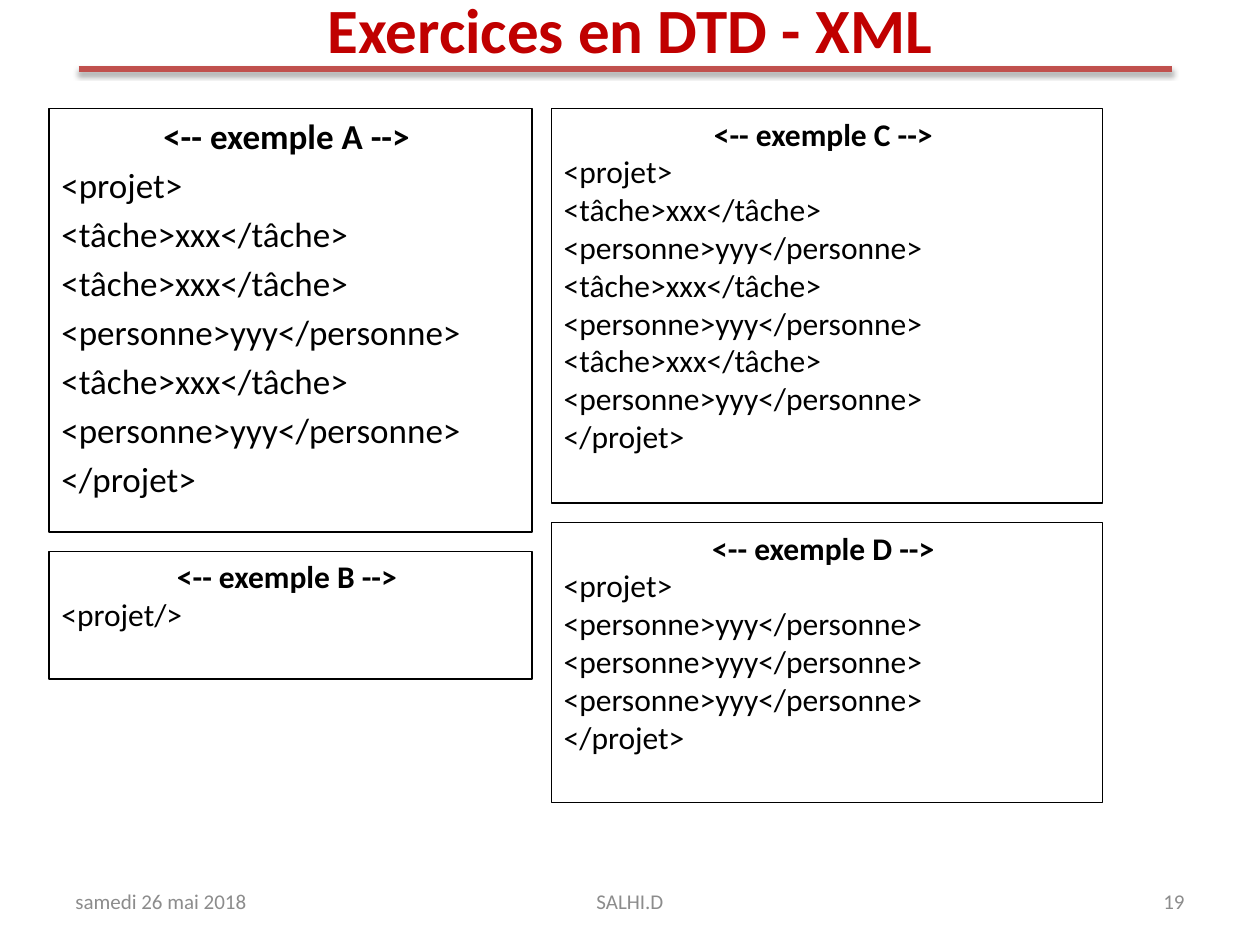
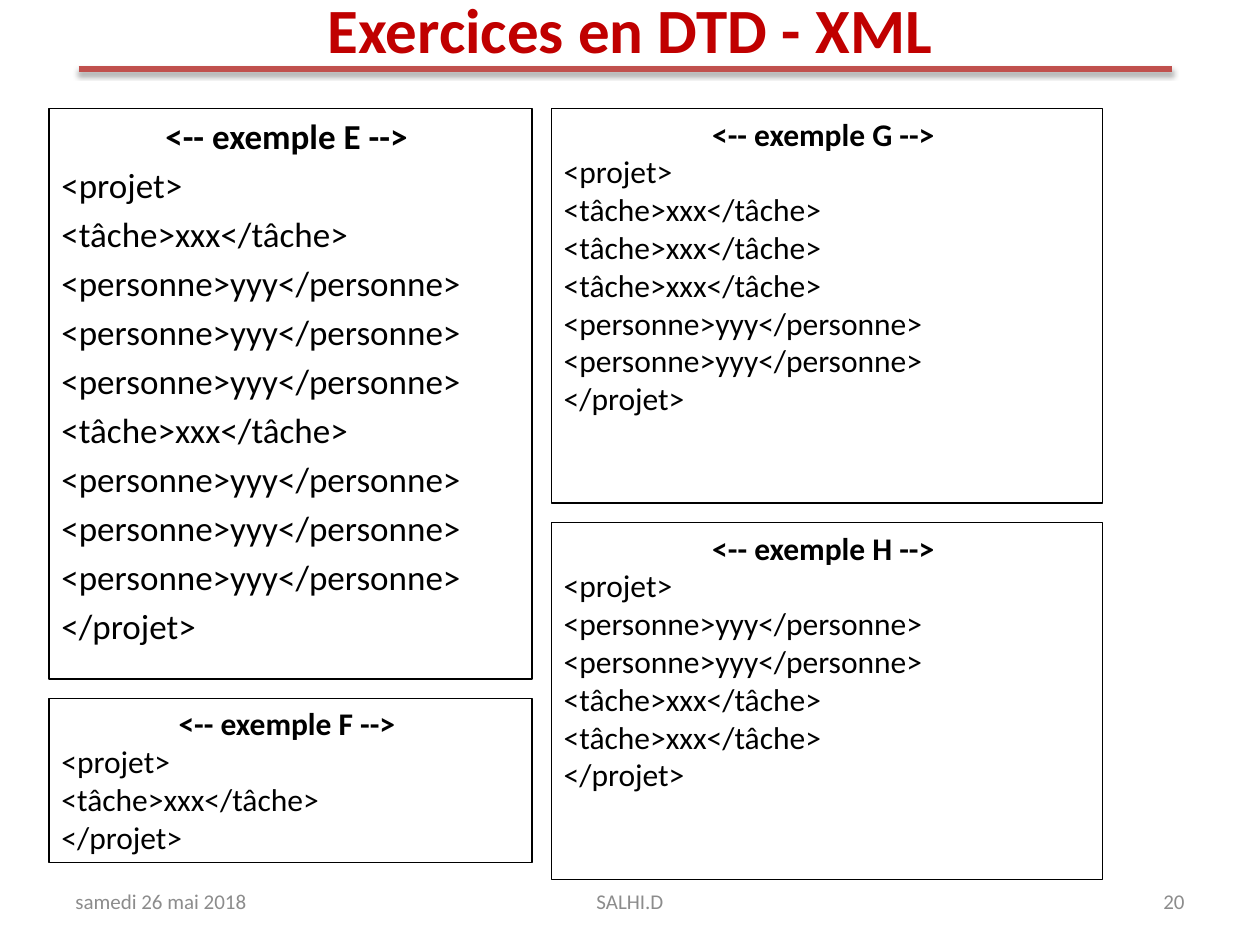
from lxml import etree
from pptx import Presentation
from pptx.dml.color import RGBColor
from pptx.enum.shapes import MSO_CONNECTOR, MSO_SHAPE
from pptx.enum.text import MSO_ANCHOR, PP_ALIGN
from pptx.oxml.ns import qn
from pptx.util import Pt

LEFT, CENTER, RIGHT = PP_ALIGN.LEFT, PP_ALIGN.CENTER, PP_ALIGN.RIGHT
TOP, MIDDLE = MSO_ANCHOR.TOP, MSO_ANCHOR.MIDDLE
STRAIGHT, RECTANGLE = MSO_CONNECTOR.STRAIGHT, MSO_SHAPE.RECTANGLE

RED = RGBColor(0xC0, 0x00, 0x00)
RULE_RED = RGBColor(0xC0, 0x50, 0x4D)
GRAY = RGBColor(0x8C, 0x8C, 0x8C)
BLACK = RGBColor(0, 0, 0)
FONT = "Calibri"

TITLE = "Exercices en DTD - XML"
DATE = "samedi 26 mai 2018"
AUTHOR = "SALHI.D"
TASK = "<tâche>xxx</tâche>"
PERSON = "<personne>yyy</personne>"

# Each example: letter, box height, elements inside the project
PAGES = [
    (19, [
        [("A", 242, [TASK, TASK, PERSON, TASK, PERSON]), ("B", 73, [])],
        [("C", 225.5, [TASK, PERSON] * 3), ("D", 160, [PERSON] * 3)],
    ]),
    (20, [
        [("E", 326, [TASK, PERSON, PERSON, PERSON] * 2), ("F", 94, [TASK])],
        [("G", 225.5, [TASK] * 3 + [PERSON] * 2),
         ("H", 204, [PERSON] * 2 + [TASK] * 2)],
    ]),
]
COLUMNS = [(28, 276), (315, 315)]
COLUMN_TOP = 62
GAP = 11


def style(paragraph, size, color, bold=False, align=LEFT):
    paragraph.alignment = align
    for span in paragraph.runs:
        span.font.name = FONT
        span.font.size = Pt(size)
        span.font.bold = bold
        span.font.color.rgb = color


def add_label(page, text, place, size, color, bold=False, align=LEFT):
    box = page.shapes.add_textbox(*[Pt(value) for value in place])
    frame = box.text_frame
    frame.word_wrap = True
    frame.vertical_anchor = MIDDLE
    frame.text = text
    style(frame.paragraphs[0], size, color, bold, align)


def add_rule(page):
    rule = page.shapes.add_connector(STRAIGHT, Pt(45), Pt(39.5), Pt(669.5), Pt(39.5))
    rule.line.color.rgb = RULE_RED
    rule.line.width = Pt(3)
    effects = etree.SubElement(rule._element.spPr, qn("a:effectLst"))
    shadow = etree.SubElement(effects, qn("a:outerShdw"), blurRad=str(Pt(3.1)),
                              dist=str(Pt(1.8)), dir="5400000", rotWithShape="0")
    color = etree.SubElement(shadow, qn("a:srgbClr"), val="000000")
    etree.SubElement(color, qn("a:alpha"), val="35000")


def add_example(page, place, letter, elements, size, spacing):
    box = page.shapes.add_shape(RECTANGLE, *[Pt(value) for value in place])
    box.shadow.inherit = False
    box.fill.background()
    box.line.color.rgb = BLACK
    box.line.width = Pt(0.75)
    frame = box.text_frame
    frame.word_wrap = True
    frame.vertical_anchor = TOP
    code = ["<projet>", *elements, "</projet>"] if elements else ["<projet/>"]
    frame.text = "\n".join([f"<-- exemple {letter} --> ", *code])
    heading, *lines = frame.paragraphs
    style(heading, size, BLACK, True, CENTER)
    for line in lines:
        line.space_before = Pt(spacing)
        style(line, size, BLACK)


deck = Presentation()
deck.slide_width, deck.slide_height = Pt(720), Pt(540)

for number, columns in PAGES:
    page = deck.slides.add_slide(deck.slide_layouts[6])
    add_label(page, TITLE, (36, -18, 648, 68.4), 36, RED, True, CENTER)
    add_label(page, DATE, (36, 500.5, 168, 28.75), 12, GRAY)
    add_label(page, AUTHOR, (246, 500.5, 228, 28.75), 12, GRAY, align=CENTER)
    add_label(page, str(number), (516, 500.5, 168, 28.75), 12, GRAY, align=RIGHT)
    add_rule(page)
    for column, ((left, width), examples) in enumerate(zip(COLUMNS, columns)):
        top = COLUMN_TOP
        for row, (letter, height, elements) in enumerate(examples):
            size, spacing = (20, 4) if column == row == 0 else (18, 0)
            add_example(page, (left, top, width, height), letter, elements, size, spacing)
            top += height + GAP

deck.save("out.pptx")
